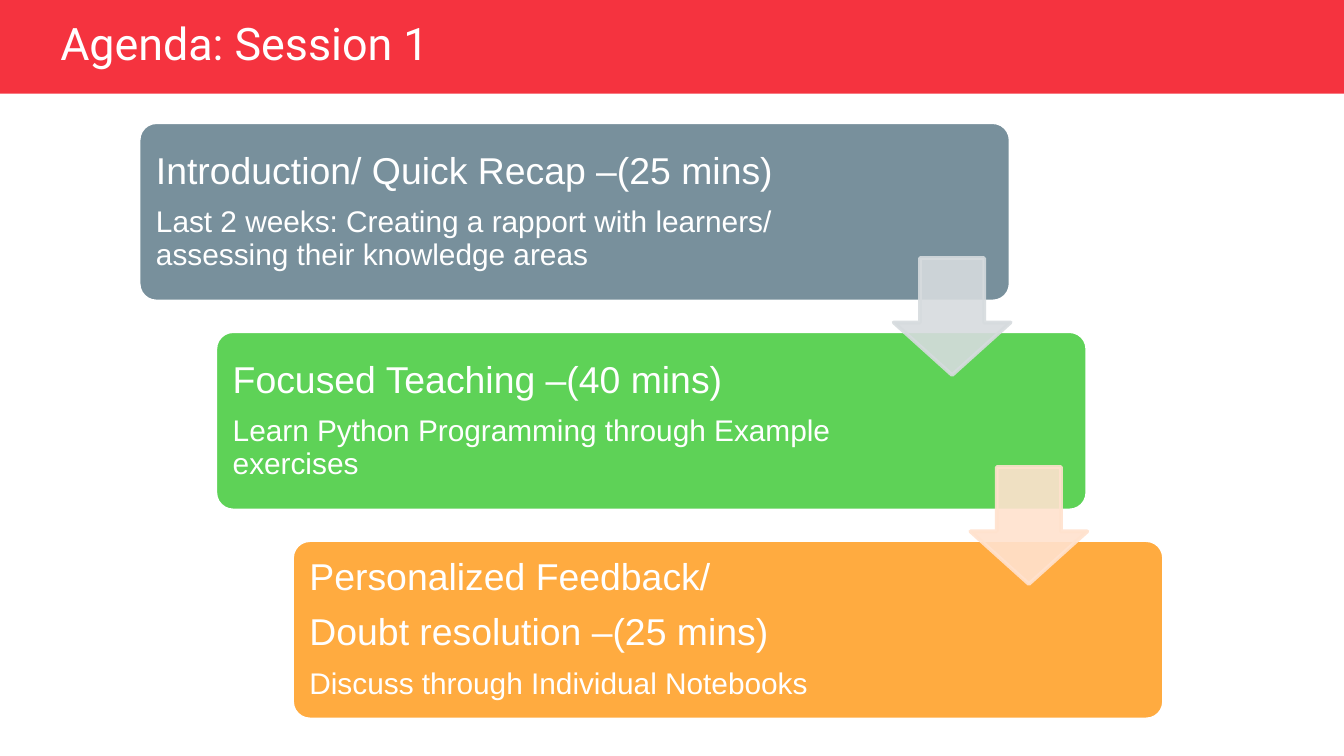
from dataclasses import dataclass

import pptx
import pptx.dml.color
import pptx.enum.shapes
import pptx.enum.text
import pptx.oxml.ns
import pptx.util
from lxml import etree

Cm = pptx.util.Cm
Pt = pptx.util.Pt
RGB = pptx.dml.color.RGBColor.from_string
KIND = pptx.enum.shapes.MSO_SHAPE


@dataclass(frozen=True)
class Theme:
    band: str = "F5333F"
    white: str = "FFFFFF"
    font: str = "Arial"
    title_font: str = "Roboto"
    title: int = 24
    head: int = 20
    body: int = 16


@dataclass(frozen=True)
class Step:
    fill: str
    right: float  # right text inset
    heads: tuple[str, ...]
    body: str
    arrow: str = ""


THEME = Theme()
STEPS = (
    Step("78909C", 3.71, ("Introduction/ Quick Recap –(25 mins)",),
         "Last 2 weeks: Creating a rapport with learners/ "
         "assessing their knowledge areas", "D6DBDE"),
    Step("5ED257", 3.89, ("Focused Teaching –(40 mins)",),
         "Learn Python Programming through Example exercises", "FFE2CE"),
    Step("FFAB40", 3.89,
         ("Personalized Feedback/", "Doubt resolution –(25 mins)"),
         "Discuss through Individual Notebooks"),
)

# Staircase grid, in centimetres
LEFT, TOP = 2.62, 2.31
WIDE, HIGH = 16.48, 3.39
STEP_X, STEP_Y = 1.45, 3.95
ARROW_X, ARROW_Y, ARROW = 14.27, 2.57, 2.21
INSET = 0.23


def draw(slide, kind, x: float, y: float, w: float, h: float,
         fill: str, edge: str = ""):
    """Add a flat shape, outlined only if an edge colour is given."""
    shape = slide.shapes.add_shape(kind, Cm(x), Cm(y), Cm(w), Cm(h))
    shape.shadow.inherit = False
    shape.fill.solid()
    shape.fill.fore_color.rgb = RGB(fill)
    if edge:
        shape.line.color.rgb = RGB(edge)
        shape.line.width = Pt(2)
    else:
        shape.line.fill.background()
    return shape


def write(para, text: str, size: int, font: str) -> None:
    para.text = text
    para.alignment = pptx.enum.text.PP_ALIGN.LEFT
    para.line_spacing = 0.9
    para.font.size = Pt(size)
    para.font.name = font
    para.font.color.rgb = RGB(THEME.white)


def add_title(slide, text: str) -> None:
    box = slide.shapes.add_textbox(Cm(0.89), Cm(0.33), Cm(10.39), Cm(1.07))
    frame = box.text_frame
    frame.word_wrap = True
    frame.vertical_anchor = pptx.enum.text.MSO_ANCHOR.MIDDLE
    write(frame.paragraphs[0], text, THEME.title, THEME.title_font)


def add_card(slide, step: Step, x: float, y: float) -> None:
    card = draw(slide, KIND.ROUNDED_RECTANGLE, x, y, WIDE, HIGH,
                step.fill, THEME.white)
    card.adjustments[0] = 0.1
    frame = card.text_frame
    frame.word_wrap = True
    frame.vertical_anchor = pptx.enum.text.MSO_ANCHOR.MIDDLE
    frame.margin_left = frame.margin_top = frame.margin_bottom = Cm(INSET)
    frame.margin_right = Cm(step.right)
    rows = [(head, THEME.head) for head in step.heads]
    rows.append((step.body, THEME.body))
    for i, (text, size) in enumerate(rows):
        para = frame.add_paragraph() if i else frame.paragraphs[0]
        write(para, text, size, THEME.font)
        para.space_after = Pt(round(size * 0.4))


def add_arrow(slide, color: str, x: float, y: float) -> None:
    arrow = draw(slide, KIND.DOWN_ARROW, x, y, ARROW, ARROW, color, color)
    arrow.adjustments[0] = 0.55
    arrow.adjustments[1] = 0.45
    # 90 % opacity on fill and line
    qn = pptx.oxml.ns.qn
    for tone in arrow.element.spPr.iter(qn("a:srgbClr")):
        etree.SubElement(tone, qn("a:alpha")).set("val", "90000")


def main() -> None:
    deck = pptx.Presentation()
    deck.slide_width, deck.slide_height = Cm(25.4), Cm(14.29)
    slide = deck.slides.add_slide(deck.slide_layouts[6])

    # Header
    draw(slide, KIND.RECTANGLE, 0, 0, 25.4, 1.77, THEME.band)
    add_title(slide, "Agenda: Session 1")

    # Cards, then the arrows over them
    spots = [(step, LEFT + i * STEP_X, TOP + i * STEP_Y)
             for i, step in enumerate(STEPS)]
    for step, x, y in spots:
        add_card(slide, step, x, y)
    for step, x, y in spots:
        if step.arrow:
            add_arrow(slide, step.arrow, x + ARROW_X, y + ARROW_Y)

    deck.save("out.pptx")


if __name__ == "__main__":
    main()
